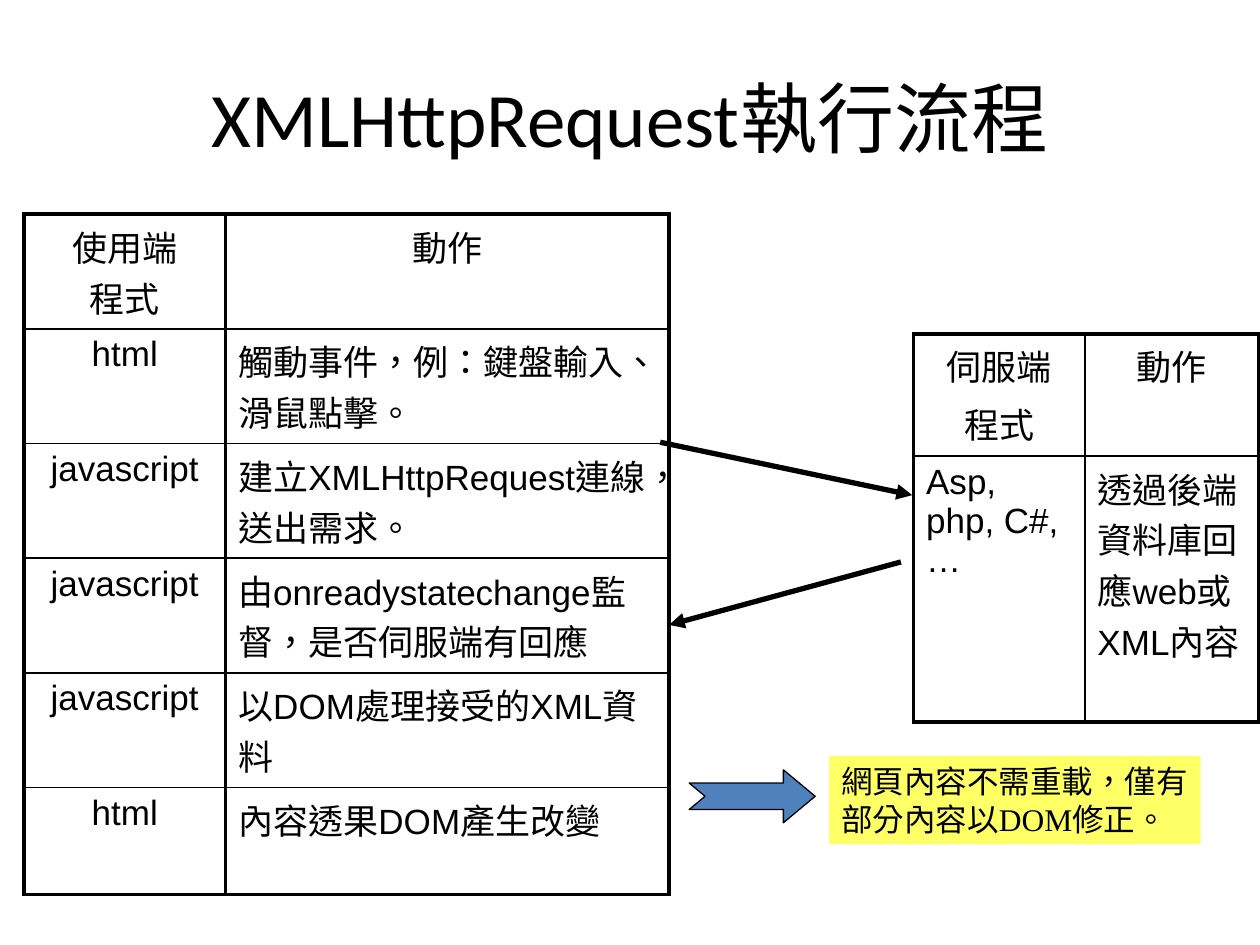
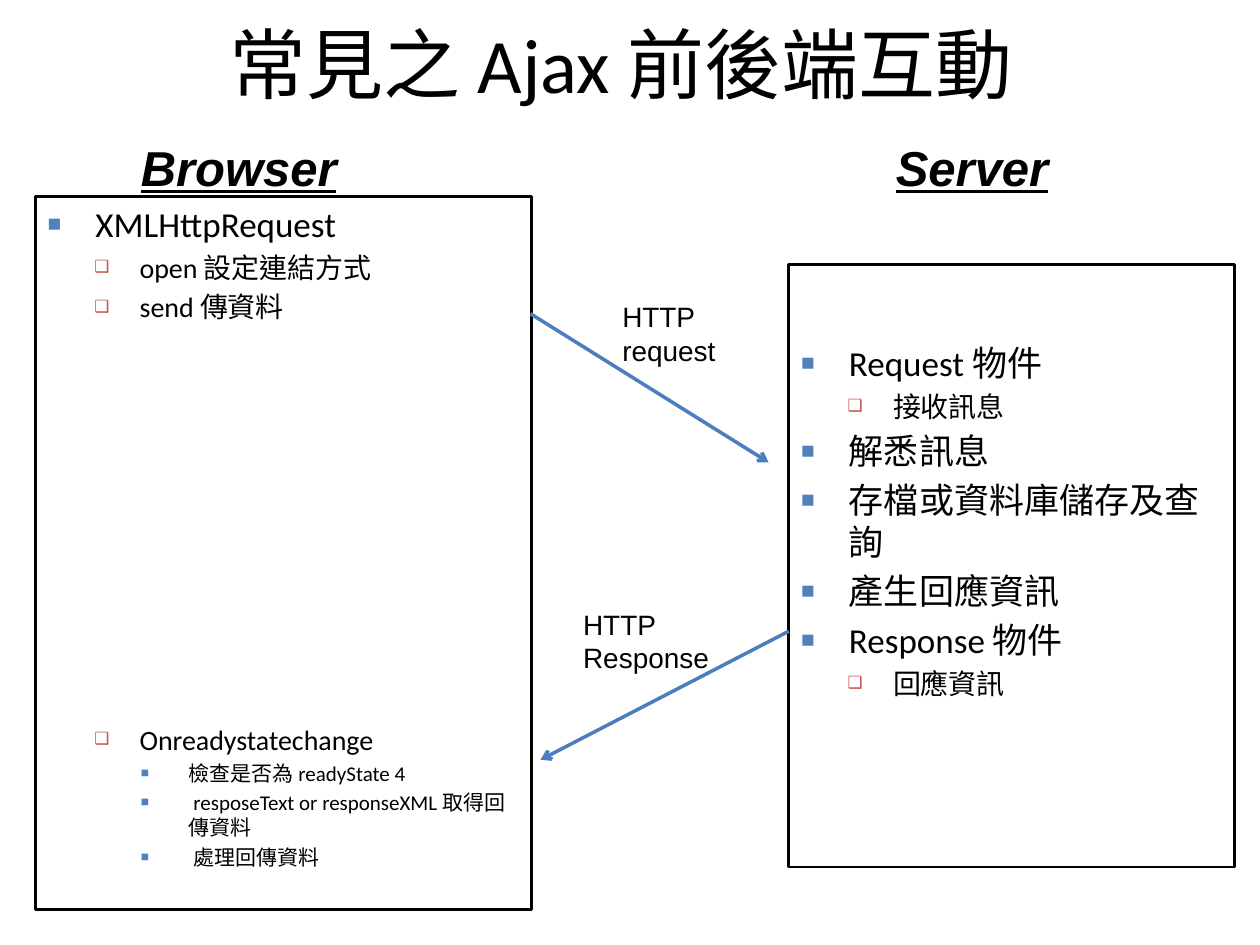
from pptx import Presentation
from pptx.dml.color import RGBColor
from pptx.enum.shapes import MSO_CONNECTOR as Conn, MSO_SHAPE as Kind
from pptx.enum.text import MSO_ANCHOR as Anchor, PP_ALIGN as Align
from pptx.oxml.ns import qn
from pptx.util import Inches, Pt
from lxml.etree import SubElement as Sub

HEX = {"ink": "000000", "blue": "4F81BD", "wire": "4B7EBC",
       "red": "C0504D", "note": "FFFF66"}
THICK, THIN = 2.25, 1
LEAD = 0.2

FLOW = "XMLHttpRequest執行流程"
CLIENT = [("使用端\n程式", "動作"),
          ("html", "觸動事件，例：鍵盤輸入、滑鼠點擊。"),
          ("javascript", "建立XMLHttpRequest連線，送出需求。"),
          ("javascript", "由onreadystatechange監督，是否伺服端有回應"),
          ("javascript", "以DOM處理接受的XML資料"),
          ("html", "內容透果DOM產生改變")]
HOST = [("伺服端\n程式", "動作"),
        ("Asp, php, C#, …", "透過後端資料庫回應web或XML內容")]
NOTE = "網頁內容不需重載，僅有\n部分內容以DOM修正。"
CALLS = [((5.24, 3.51), (7.24, 3.93)), ((7.15, 4.46), (5.31, 4.96))]

AJAX = "常見之 Ajax 前後端互動"
SERVER = [(0, "Request 物件"), (1, "接收訊息"), (0, "解悉訊息"),
          (0, "存檔或資料庫儲存及查詢"), (0, "產生回應資訊"),
          (0, "Response 物件"), (1, "回應資訊")]
BROWSER = [(0, "XMLHttpRequest"), (1, "open 設定連結方式"), (1, "send 傳資料"),
           (1, "Onreadystatechange"), (2, "檢查是否為 readyState 4"),
           (2, " resposeText or responseXML 取得回傳資料"),
           (2, " 處理回傳資料")]
PANELS = [((6.26, 2.1, 3.54, 4.78), SERVER, 0.61, {}),
          ((0.28, 1.56, 3.94, 5.66), BROWSER, 0.05, {3: 225})]
HEADS = [("Browser", 0.28), ("Server", 6.1)]
LINKS = [("HTTP request", (4.84, 2.33, 1.02, 0.64), (4.21, 2.49), (6.1, 3.67)),
         ("HTTP Response", (4.53, 4.77, 1.26, 0.64), (6.26, 5.01), (4.29, 6.03))]
LEVELS = [(20, 0.38, 0.38, "■", "blue", 65),
          (16, 0.73, 0.36, "❑", "red", 60),
          (12, 1.12, 0.38, "■", "blue", 65)]


def rgb(name):
    """Return a named colour."""
    return RGBColor.from_string(HEX[name])


def style(para, size, face="Arial", align=Align.LEFT, gap=0):
    """Set the font, language, alignment and space before of a paragraph."""
    para.alignment = align
    para.space_before = Pt(gap)
    para.font.size, para.font.name = Pt(size), face
    para.font.color.rgb = rgb("ink")
    for run in para.runs:
        run._r.get_or_add_rPr().set("lang", "zh-TW")


def label(slide, text, box, size, face="Arial", align=Align.LEFT, wrap=True):
    """Add a text box."""
    shape = slide.shapes.add_textbox(*map(Inches, box))
    shape.text_frame.word_wrap = wrap
    shape.text_frame.text = text
    for para in shape.text_frame.paragraphs:
        style(para, size, face, align)
    return shape


def title(slide, text, box):
    """Add the slide title."""
    shape = label(slide, text, box, 44, "Calibri", Align.CENTER)
    shape.text_frame.vertical_anchor = Anchor.MIDDLE


def arrow(slide, start, end, color, width, head):
    """Draw a straight arrow."""
    line = slide.shapes.add_connector(Conn.STRAIGHT, *map(Inches, start + end))
    line.line.color.rgb, line.line.width = rgb(color), Pt(width)
    Sub(line.line._get_or_add_ln(), qn("a:tailEnd"), type=head)
    Sub(line._element.spPr, qn("a:effectLst"))


def edge(cell, side, width):
    """Draw one border of a cell."""
    line = Sub(cell._tc.get_or_add_tcPr(), qn("a:ln" + side), w=str(Pt(width)))
    Sub(Sub(line, qn("a:solidFill")), qn("a:srgbClr"), val=HEX["ink"])


def grid(slide, data, spot, cols, rows, inner, gap, mid):
    """Add a ruled table with a heavy frame."""
    box = (*spot, sum(cols), sum(rows))
    frame = slide.shapes.add_table(len(rows), len(cols), *map(Inches, box))
    table = frame.table
    table.first_row = table.horz_banding = False
    for col, width in zip(table.columns, cols):
        col.width = Inches(width)
    for r, (row, height) in enumerate(zip(data, rows)):
        table.rows[r].height = Inches(height)
        for c, text in enumerate(row):
            cell = table.cell(r, c)
            cell.text = text
            for para in cell.text_frame.paragraphs:
                center = r == 0 or (mid and c == 0)
                style(para, 20, align=Align.CENTER if center else Align.LEFT, gap=gap)
            edge(cell, "L", inner if c else THICK)
            edge(cell, "R", inner if c < len(cols) - 1 else THICK)
            edge(cell, "T", THIN if r else THICK)
            edge(cell, "B", THIN if r < len(rows) - 1 else THICK)
            cell.fill.background()


def panel(slide, box, items, top, gaps):
    """Add a framed bullet list."""
    shape = slide.shapes.add_shape(Kind.RECTANGLE, *map(Inches, box))
    shape.shadow.inherit = False
    shape.fill.background()
    shape.line.color.rgb, shape.line.width = rgb("ink"), Pt(1.5)
    frame = shape.text_frame
    frame.word_wrap, frame.vertical_anchor = True, Anchor.TOP
    frame.margin_top = Inches(top)
    frame.text = "\n".join(text for _, text in items)
    for i, (para, (level, _)) in enumerate(zip(frame.paragraphs, items)):
        size, left, hang, mark, color, share = LEVELS[level]
        para.level = level
        style(para, size, "Calibri", gap=size * LEAD + gaps.get(i, 0))
        props = para._p.get_or_add_pPr()
        props.set("marL", str(Inches(left)))
        props.set("indent", str(-Inches(hang)))
        last = props.find(qn("a:defRPr"))
        Sub(Sub(props, qn("a:buClr")), qn("a:srgbClr"), val=HEX[color])
        Sub(props, qn("a:buSzPct"), val=str(share * 1000))
        Sub(props, qn("a:buFont"), typeface="Arial")
        Sub(props, qn("a:buChar"), char=mark)
        props.append(last)


def flow(slide):
    """Build the request flow slide."""
    title(slide, FLOW, (0.5, 0.3, 9, 1.25))
    grid(slide, CLIENT, (0.19, 1.7), (1.6, 3.52),
         [0.91] * 5 + [0.85], THICK, 0, True)
    grid(slide, HOST, (7.25, 2.65), (1.36, 1.38),
         (0.97, 2.11), THIN, 20 * LEAD, False)
    for start, end in CALLS:
        arrow(slide, start, end, "ink", 3, "triangle")
    notch = slide.shapes.add_shape(Kind.NOTCHED_RIGHT_ARROW,
                                   *map(Inches, (5.47, 6.11, 1, 0.42)))
    notch.shadow.inherit = False
    notch.adjustments[0], notch.adjustments[1] = 0.5, 0.6
    notch.fill.solid()
    notch.fill.fore_color.rgb = rgb("blue")
    notch.line.color.rgb, notch.line.width = rgb("ink"), Pt(0.75)
    note = label(slide, NOTE, (6.58, 6, 2.95, 0.7), 18, "Times New Roman", wrap=False)
    note.fill.solid()
    note.fill.fore_color.rgb = rgb("note")


def ajax(slide):
    """Build the browser and server slide."""
    title(slide, AJAX, (0.43, 0, 9, 0.99))
    for part in PANELS:
        panel(slide, *part)
    for text, left in HEADS:
        head = label(slide, text, (left, 1.04, 3.23, 0.57), 28, align=Align.CENTER)
        font = head.text_frame.paragraphs[0].font
        font.bold = font.italic = font.underline = True
    for text, box, start, end in LINKS:
        arrow(slide, start, end, "wire", 2, "arrow")
        label(slide, text, box, 16)


def main():
    """Build and save the deck."""
    deck = Presentation()
    deck.slide_width, deck.slide_height = Inches(10), Inches(7.5)
    for build in (flow, ajax):
        build(deck.slides.add_slide(deck.slide_layouts[6]))
    deck.save("out.pptx")


if __name__ == "__main__":
    main()
